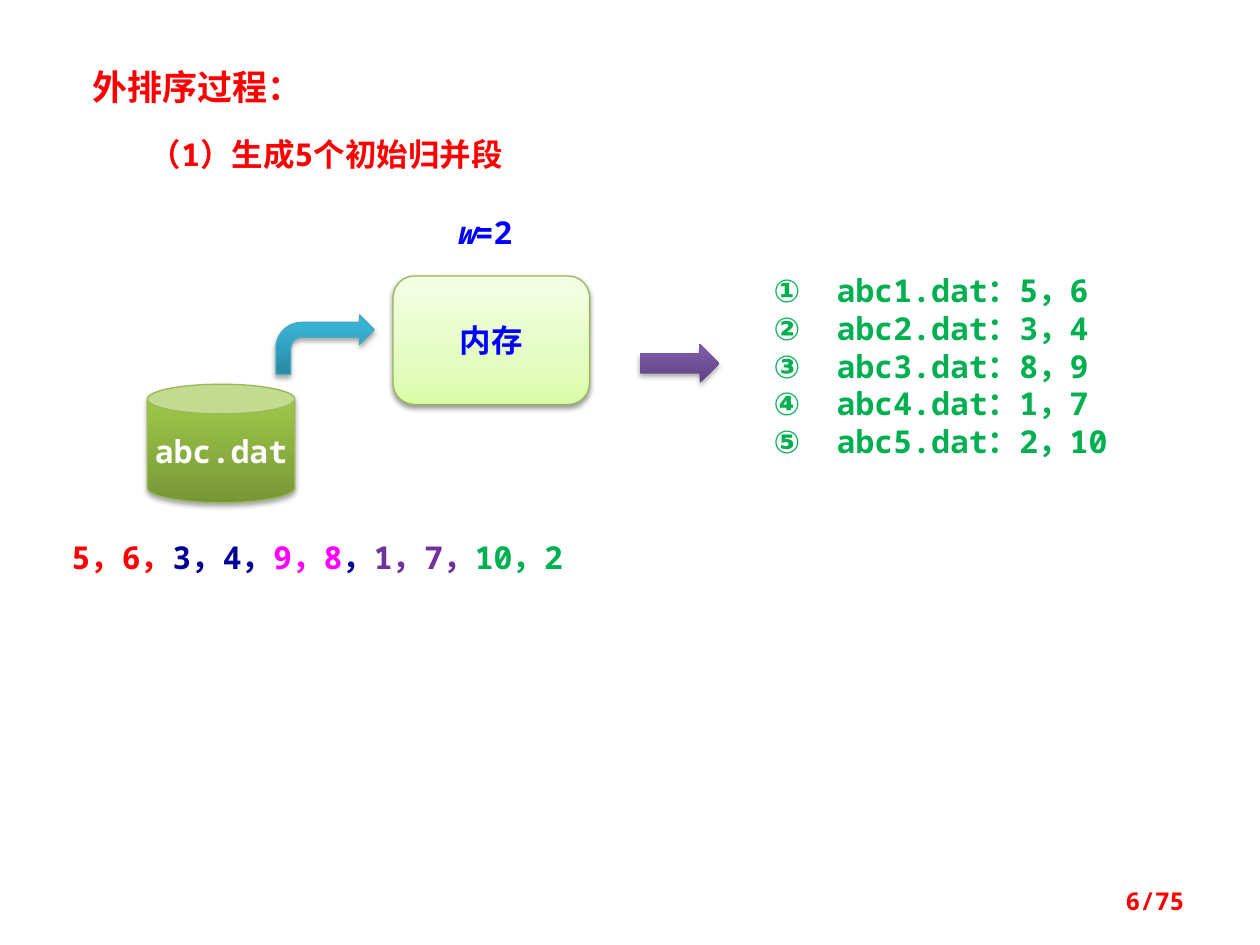
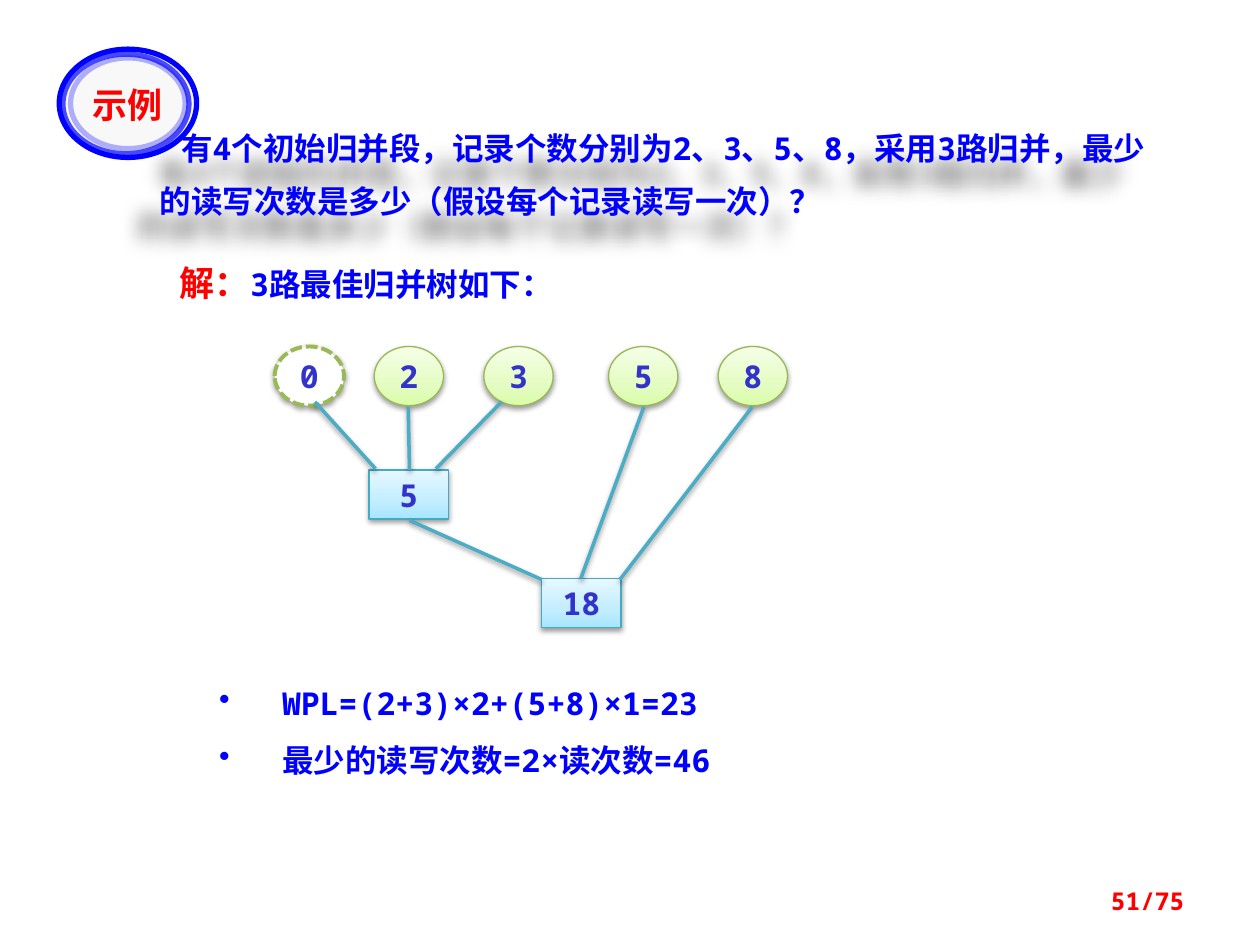
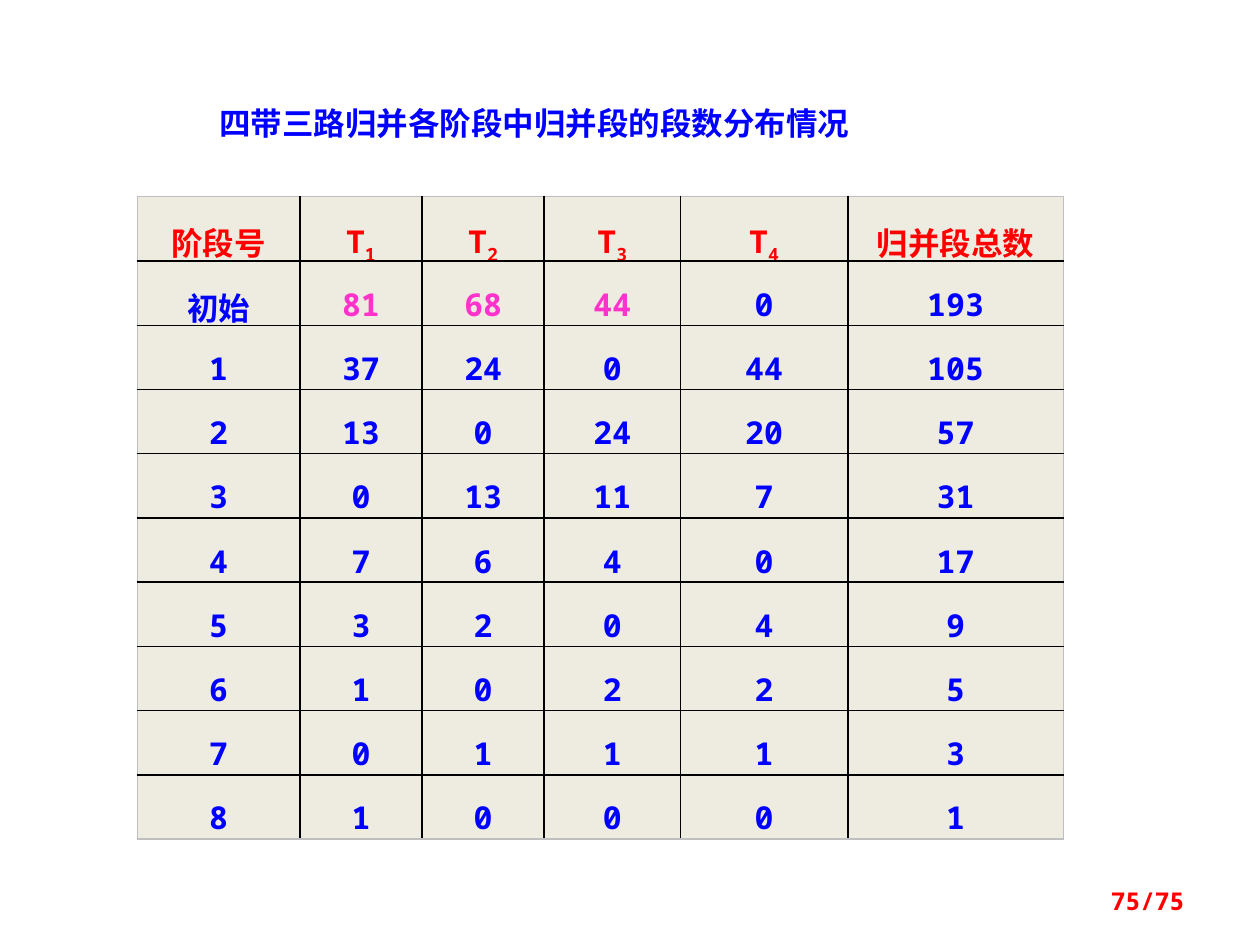
from copy import deepcopy

from lxml import etree
from pptx import Presentation
from pptx import util as u
from pptx.dml.color import RGBColor
from pptx.enum import dml, shapes, text
from pptx.oxml.ns import qn

HEX = {
    "red": "FF0000", "blue": "0000FF", "navy": "000099", "pink": "FF00FF",
    "rose": "FF33CC", "purple": "7030A0", "green": "00B050", "indigo": "3333CC",
    "white": "FFFFFF", "black": "000000", "pale": "F8F8F8", "cream": "EEECE1",
    "grey": "BFBFBF", "leaf": "98B955", "teal": "46AAC5", "edge": "4BACC6",
}
# Gradients run from bottom to top: (position, colour)
GRADS = {
    "lime": [(0, "DAFDA7"), (0.35, "E4FCC2"), (1, "F5FFE7")],
    "sky": [(0, "A7E6FF"), (0.35, "C1EDFF"), (1, "E7F8FF")],
    "olive": [(0, "779737"), (0.8, "9BC348"), (1, "9DC746")],
    "aqua": [(0, "2A88A2"), (0.8, "37B1D2"), (1, "34B4D6")],
    "plum": [(0, "5F4480"), (0.8, "7B58A6"), (1, "7C57A8")],
}
MONO, SANS, SANS_JP = "Noto Sans Mono", "Noto Sans CJK SC", "Noto Sans CJK JP"
SOFT = (38, 3.1, 1.6, 90)  # alpha %, blur pt, distance pt, angle
DEEP = (35, 3.1, 1.8, 90)
CAST = (50, 11, 19, 135)
KIND = shapes.MSO_SHAPE
ALIGN = text.PP_ALIGN
MIDDLE = text.MSO_ANCHOR.MIDDLE
PAGES = 75


def rgb(name):
    return RGBColor.from_string(HEX.get(name, name))


def inches(values):
    return [u.Inches(v) for v in values]


class Deck:
    def __init__(self):
        self.prs = Presentation()
        self.prs.slide_width, self.prs.slide_height = inches((10, 7.5))
        self.slide = None

    def page(self, number):
        """Start a slide with its page number in the footer."""
        self.slide = self.prs.slides.add_slide(self.prs.slide_layouts[6])
        self.label((7.17, 6.95, 2.33, 0.4), [f"{number}/{PAGES}"], "red", 14,
                   align=ALIGN.RIGHT, anchor=MIDDLE)

    def style(self, font, color=None, size=None, face=None):
        if color:
            font.color.rgb = rgb(color)
        if size:
            font.size = u.Pt(size)
        if face:
            font.name = face
            ea = etree.SubElement(font._element, qn("a:ea"))
            ea.set("typeface", SANS if face == MONO else face)

    def put(self, para, runs, color, size=18, face=MONO, align=None):
        """Fill a paragraph; a run is a string or (string, overrides)."""
        para.alignment = align
        para.font.bold = True
        self.style(para.font, color, size, face)
        for item in [runs] if isinstance(runs, str) else runs:
            words, extra = (item, {}) if isinstance(item, str) else item
            run = para.add_run()
            run.text = words
            extra = dict(extra)
            if extra.pop("italic", False):
                run.font.italic = True
            if extra.pop("sub", False):
                run._r.get_or_add_rPr().set("baseline", "-25000")
            self.style(run.font, **extra)

    def label(self, box, paras, color="blue", size=18, face=MONO, align=None,
              anchor=None, bullet=None, spacing=None, indent=0):
        item = self.slide.shapes.add_textbox(*inches(box))
        frame = item.text_frame
        frame.word_wrap = True
        if anchor is not None:
            frame.vertical_anchor = anchor
        for i, runs in enumerate(paras):
            para = frame.add_paragraph() if i else frame.paragraphs[0]
            para.line_spacing = spacing
            props = para._p.get_or_add_pPr()
            if indent:
                props.set("indent", str(u.Inches(indent)))
            if bullet:
                props.set("marL", str(u.Inches(0.5)))
                props.set("indent", str(u.Inches(-0.5)))
                tag, key, value = bullet
                etree.SubElement(props, qn(tag)).set(key, value)
            self.put(para, runs, color, size, face, align)
        return item

    def shadow(self, item, cast):
        alpha, blur, dist, angle = cast
        effects = etree.SubElement(item._element.spPr, qn("a:effectLst"))
        outer = etree.SubElement(
            effects, qn("a:outerShdw"), blurRad=str(u.Pt(blur)),
            dist=str(u.Pt(dist)), dir=str(angle * 60000), algn="ctr", rotWithShape="0")
        shade = etree.SubElement(outer, qn("a:srgbClr"), val=HEX["black"])
        etree.SubElement(shade, qn("a:alpha"), val=str(alpha * 1000))

    def shape(self, kind, box, fill=None, line=None, width=0.75, words=None,
              color="indigo", cast=None, dash=None, alpha=None):
        item = self.slide.shapes.add_shape(kind, *inches(box))
        # Fill
        if fill in GRADS:
            item.fill.gradient()
            item.fill.gradient_angle = 90
            stops = item._element.spPr.find(".//" + qn("a:gsLst"))
            stops.append(deepcopy(stops[-1]))
            for stop, (place, tone) in zip(item.fill.gradient_stops, GRADS[fill]):
                stop.position = place
                stop.color.rgb = rgb(tone)
        elif fill:
            item.fill.solid()
            item.fill.fore_color.rgb = rgb(fill)
        else:
            item.fill.background()
        # Outline
        if line:
            item.line.color.rgb = rgb(line)
            item.line.width = u.Pt(width)
            if dash:
                item.line.dash_style = dash
            if alpha:
                tone = item.line._ln.find(".//" + qn("a:srgbClr"))
                etree.SubElement(tone, qn("a:alpha"), val=str(alpha * 1000))
        else:
            item.line.fill.background()
        # Shadow and text
        if cast:
            self.shadow(item, cast)
        else:
            item.shadow.inherit = False
        if words:
            frame = item.text_frame
            frame.word_wrap = False
            frame.vertical_anchor = MIDDLE
            self.put(frame.paragraphs[0], words, color, align=ALIGN.CENTER)

    def link(self, start, end):
        item = self.slide.shapes.add_connector(
            shapes.MSO_CONNECTOR.STRAIGHT, *inches(start + end))
        item.line.color.rgb = rgb("edge")
        item.line.width = u.Pt(2)
        self.shadow(item, SOFT)

    def border(self, cell, sides):
        props = cell._tc.get_or_add_tcPr()
        for side, tone in sides.items():
            line = etree.SubElement(props, qn("a:ln" + side), w=str(u.Pt(1)))
            fill = etree.SubElement(line, qn("a:solidFill"))
            etree.SubElement(fill, qn("a:srgbClr"), val=HEX[tone])

    def table(self, box, widths, height, rows, tint):
        grid = self.slide.shapes.add_table(len(rows), len(widths), *inches(box)).table
        grid.first_row = grid.horz_banding = False
        for col, wide in zip(grid.columns, widths):
            col.width = u.Inches(wide)
        for r, row in enumerate(rows):
            grid.rows[r].height = u.Inches(height)
            for c, words in enumerate(row):
                cell = grid.cell(r, c)
                cell.margin_left = cell.margin_right = u.Inches(0.07)
                cell.margin_top = cell.margin_bottom = 0
                rims = {"L": c == 0, "R": c == len(row) - 1,
                        "T": r == 0, "B": r == len(rows) - 1}
                self.border(cell, {s: "grey" if rim else "black" for s, rim in rims.items()})
                cell.fill.solid()
                cell.fill.fore_color.rgb = rgb("cream")
                para = cell.text_frame.paragraphs[0]
                para.line_spacing = 1.5
                self.put(para, words, tint(r, c), align=ALIGN.CENTER)


def sorting(deck):
    deck.page(6)
    deck.label((0.47, 0.47, 2.19, 0.44), ["外排序过程："], "red", 20, SANS, ALIGN.CENTER)
    deck.label((1.09, 1.02, 4.38, 0.4), ["（1）生成5个初始归并段"], "red")
    # Source file, memory and arrows
    deck.label((3.52, 1.64, 0.78, 0.4), [[("w", {"italic": True}), "=2"]])
    deck.shape(KIND.ROUNDED_RECTANGLE, (3.12, 2.19, 1.56, 1.02), "lime", "leaf",
               words="内存", color="blue", cast=SOFT)
    deck.shape(KIND.CAN, (1.17, 3.05, 1.17, 0.94), "olive", "leaf",
               words="abc.dat", color="white", cast=DEEP)
    deck.shape(KIND.BENT_ARROW, (2.19, 2.5, 0.78, 0.47), "aqua", "teal", cast=DEEP)
    deck.shape(KIND.RIGHT_ARROW, (5.08, 2.73, 0.63, 0.31), "plum", cast=DEEP)
    # Input records, coloured by run
    parts = [("5，6，", "red"), ("3，4，", "navy"), ("9，8", "pink"),
             ("，", "navy"), ("1，7，", "purple"), ("10，2", "green")]
    deck.label((0.47, 4.22, 4.84, 0.4), [[(t, {"color": c}) for t, c in parts]])
    # Resulting files
    pairs = ["5，6", "3，4", "8，9", "1，7", "2，10"]
    files = deck.label((5.94, 2.03, 3.44, 1.75),
                       [f"abc{i}.dat：{pair}" for i, pair in enumerate(pairs, 1)],
                       "green", bullet=("a:buAutoNum", "type", "circleNumDbPlain"))
    frame = files.text_frame
    frame.margin_left = u.Inches(0.2)
    frame.margin_top = frame.margin_bottom = u.Inches(0.12)


def example(deck):
    deck.page(51)
    ask = deck.label((1.17, 0.86, 8.13, 0.9),
                     ["有4个初始归并段，记录个数分别为2、3、5、8，采用3路归并，"
                      "最少的读写次数是多少（假设每个记录读写一次）？"],
                     spacing=u.Pt(30), indent=0.17)
    deck.shadow(ask, CAST)
    deck.label((1.33, 2.03, 4.92, 0.44),
               [[("解：", {"color": "red", "size": 20, "face": SANS}), "3路最佳归并树如下："]])
    # Merge tree: leaves, inner nodes, edges
    deck.shape(KIND.OVAL, (2.18, 2.75, 0.55, 0.47), "white", "leaf", 2.25, "0",
               cast=SOFT, dash=dml.MSO_LINE.SQUARE_DOT)
    for left, count in [(2.97, "2"), (3.84, "3"), (4.83, "5"), (5.7, "8")]:
        deck.shape(KIND.OVAL, (left, 2.75, 0.55, 0.47), "lime", "leaf",
                   words=count, cast=SOFT)
    for left, top, total in [(2.93, 3.73, "5"), (4.3, 4.59, "18")]:
        deck.shape(KIND.RECTANGLE, (left, top, 0.63, 0.39), "sky", "teal",
                   words=total, cast=SOFT)
    for start, end in [((2.5, 3.19), (2.98, 3.72)), ((3.98, 3.19), (3.46, 3.72)),
                       ((3.24, 3.23), (3.25, 3.73)), ((3.25, 4.13), (4.3, 4.6)),
                       ((5.11, 3.23), (4.61, 4.59)), ((5.97, 3.23), (4.92, 4.6))]:
        deck.link(start, end)
    deck.label((1.64, 5.23, 4.77, 1.01),
               ["WPL=(2+3)×2+(5+8)×1=23", "最少的读写次数=2×读次数=46"],
               bullet=("a:buChar", "char", "•"), spacing=1.5)
    # Badge of three rings
    for box, fill, alpha in [((0.47, 0.39, 1.09, 0.86), "pale", None),
                             ((0.5, 0.43, 1, 0.79), None, 70),
                             ((0.56, 0.46, 0.91, 0.72), None, 30)]:
        deck.shape(KIND.OVAL, box, fill, "blue", 3, alpha=alpha)
    deck.label((0.53, 0.61, 0.96, 0.39), ["示例"], "red", 20, SANS_JP, ALIGN.CENTER)


def phases(deck):
    deck.page(75)
    deck.label((1.64, 0.78, 6.17, 0.4), ["四带三路归并各阶段中归并段的段数分布情况"])
    # Run counts on each tape, with the total of the row
    tapes = [(81, 68, 44, 0), (37, 24, 0, 44), (13, 0, 24, 20), (0, 13, 11, 7),
             (7, 6, 4, 0), (3, 2, 0, 4), (1, 0, 2, 2), (0, 1, 1, 1), (1, 0, 0, 0)]
    rows = [["阶段号", *(["T", (str(n), {"sub": True})] for n in range(1, 5)), "归并段总数"]]
    for step, runs in enumerate(tapes):
        rows.append([str(step or "初始"), *map(str, runs), str(sum(runs))])

    def tint(r, c):
        if r == 0:
            return "red"
        return "rose" if r == 1 and 1 <= c <= 3 else "blue"

    deck.table((1.09, 1.56, 7.35, 5.1), [1.29, 0.97, 0.97, 1.08, 1.33, 1.71],
               0.51, rows, tint)


def main():
    deck = Deck()
    for build in (sorting, example, phases):
        build(deck)
    deck.prs.save("out.pptx")


if __name__ == "__main__":
    main()
